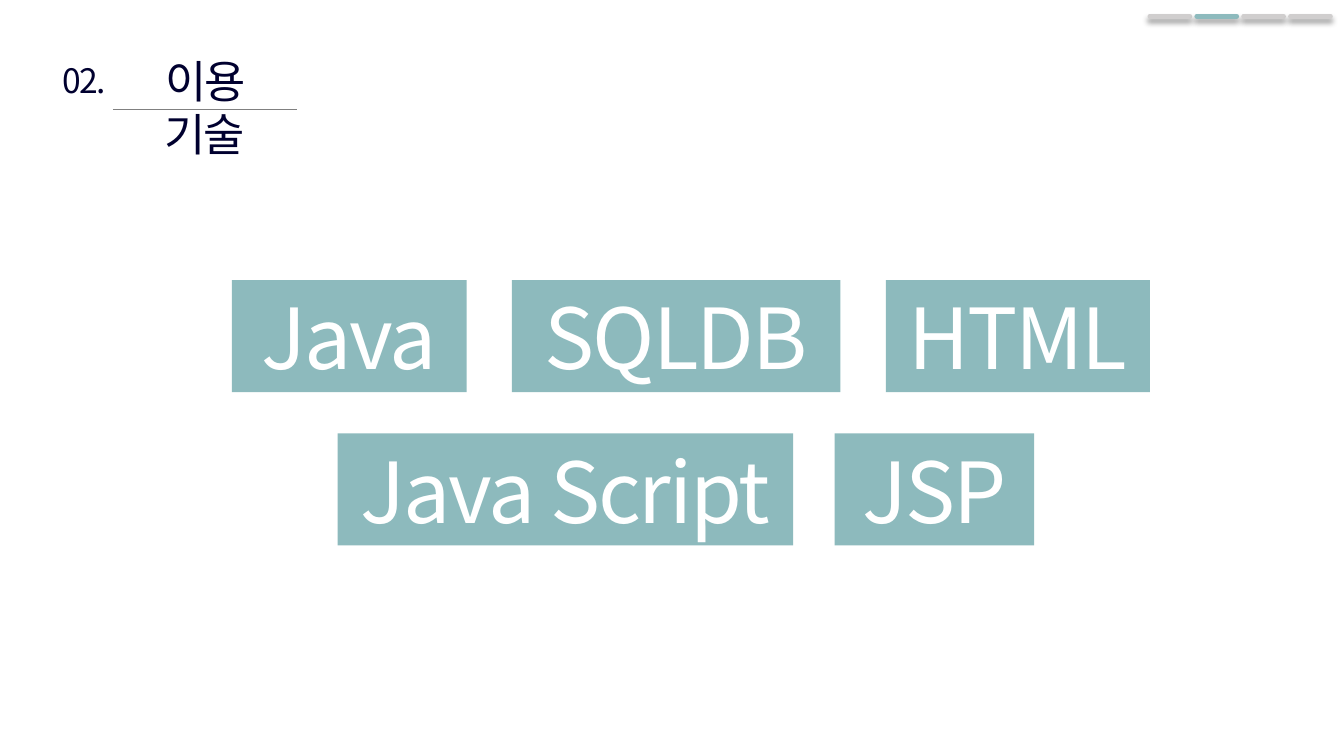
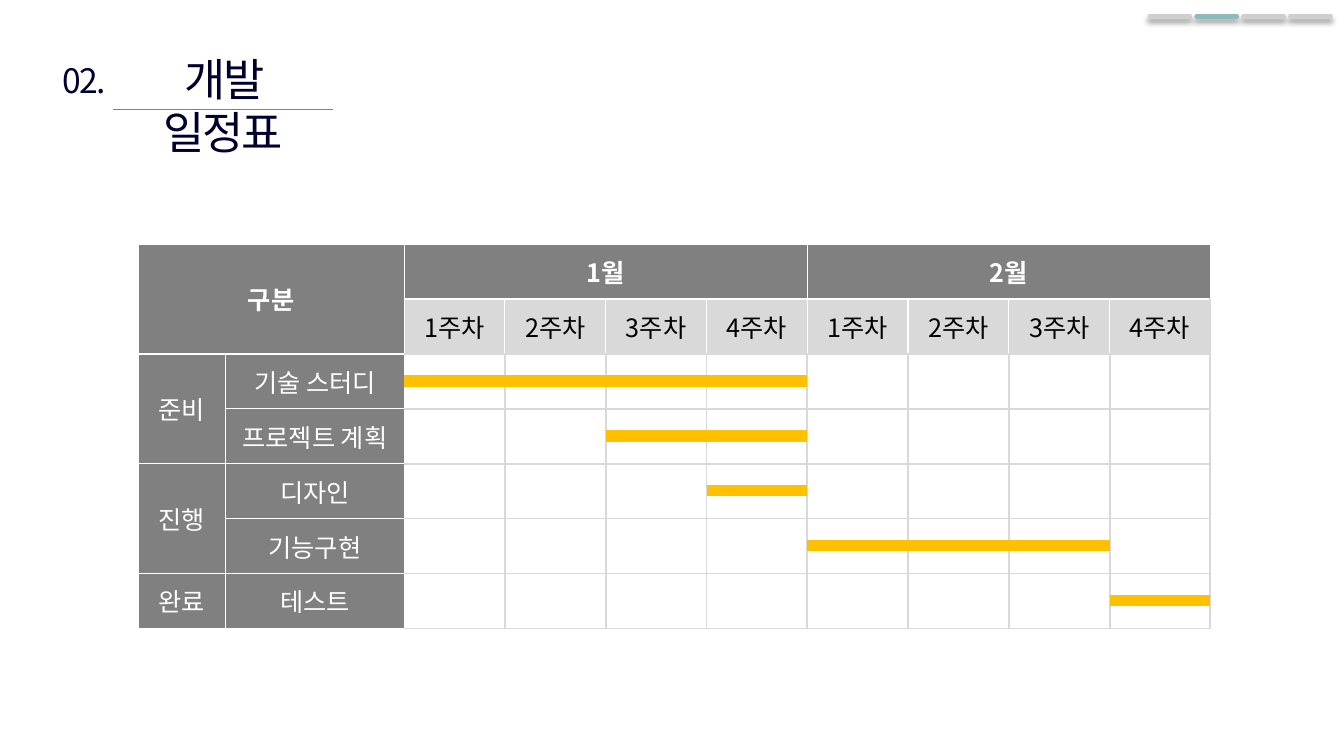
from dataclasses import dataclass

from lxml.etree import SubElement
from pptx import Presentation
from pptx.dml.color import RGBColor
from pptx.enum.shapes import MSO_CONNECTOR as Connector, MSO_SHAPE as Preset
from pptx.enum.text import MSO_ANCHOR as Anchor, MSO_AUTO_SIZE as AutoSize, PP_ALIGN as Align
from pptx.oxml.ns import qn
from pptx.presentation import Presentation as Deck
from pptx.slide import Slide
from pptx.table import _Cell as Cell
from pptx.text.text import TextFrame
from pptx.util import Pt

EMU_PER_PX = 4572
FONT = "Noto Sans CJK KR"
TEAL = "8DBABD"
NAVY = "00002F"
WHITE = "FFFFFF"
BLACK = "000000"
GRAY = "808080"
SILVER = "D9D9D9"
IDLE = "D0CECE"
AMBER = "FFC000"

SECTIONS = 4
CURRENT_SECTION = 1
WEEKS_PER_MONTH = 4
MONTHS = ("1월", "2월")
WEEKS = WEEKS_PER_MONTH * len(MONTHS)
LABEL_COLUMNS = 2
HEADER_ROWS = 2
LABEL_WIDTHS = (174, 354)
WEEK_WIDTH = 200
ROW_HEIGHT = 109
SCHEDULE_LEFT = 274
SCHEDULE_TOP = 484


@dataclass(frozen=True)
class Heading:
    text: str
    left: int
    top: int
    width: int
    rule_end: int


@dataclass(frozen=True)
class Skill:
    name: str
    width: int


@dataclass(frozen=True)
class SkillRow:
    left: int
    top: int
    gap: int
    skills: tuple[Skill, ...]


@dataclass(frozen=True)
class Task:
    name: str
    first_week: int
    weeks: int


@dataclass(frozen=True)
class Phase:
    name: str
    tasks: tuple[Task, ...]


SKILL_ROWS = (
    SkillRow(460, 556, 90, (Skill("Java", 466), Skill("SQLDB", 652), Skill("HTML", 524))),
    SkillRow(670, 860, 82, (Skill("Java Script", 904), Skill("JSP", 396))),
)
PHASES = (
    Phase("준비", (Task("기술 스터디", 0, 4), Task("프로젝트 계획", 2, 2))),
    Phase("진행", (Task("디자인", 3, 1), Task("기능구현", 4, 3))),
    Phase("완료", (Task("테스트", 7, 1),)),
)


def px(length: int) -> int:
    return length * EMU_PER_PX


def rgb(color: str) -> RGBColor:
    return RGBColor.from_string(color)


def write(frame: TextFrame, text: str, *, size: int, color: str, bold: bool = False,
          tracking: float = 0) -> None:
    paragraph = frame.paragraphs[0]
    paragraph.alignment = Align.CENTER
    run = paragraph.add_run()
    run.text = text
    run.font.size = Pt(size)
    run.font.bold = bold
    run.font.name = FONT
    run.font.color.rgb = rgb(color)
    properties = run.font._element
    SubElement(properties, qn("a:ea"), typeface=FONT)
    if tracking:
        properties.set("spc", str(round(tracking * 100)))


def set_frame(frame: TextFrame, anchor: Anchor, wrap: bool) -> TextFrame:
    frame.auto_size = AutoSize.NONE
    frame.vertical_anchor = anchor
    frame.word_wrap = wrap
    return frame


def draw_line(slide: Slide, left: int, right: int, y: int, color: str,
              weight: float, raised: bool = False) -> None:
    line = slide.shapes.add_connector(Connector.STRAIGHT, px(left), px(y), px(right), px(y))
    line.line.color.rgb = rgb(color)
    line.line.width = Pt(weight)
    properties = line._element.spPr
    effects = SubElement(properties, qn("a:effectLst"))
    if raised:
        properties.find(qn("a:ln")).set("cap", "rnd")
        outer = SubElement(effects, qn("a:outerShdw"), blurRad=str(Pt(4)), dist=str(Pt(3)),
                           dir="5400000", algn="t", rotWithShape="0")
        tint = SubElement(outer, qn("a:srgbClr"), val=BLACK)
        SubElement(tint, qn("a:alpha"), val="40000")


def add_section_slide(deck: Deck, heading: Heading) -> Slide:
    slide = deck.slides.add_slide(deck.slide_layouts[5])
    for section in range(SECTIONS):
        left = 2282 + 93 * section
        draw_line(slide, left, left + 79, 32, TEAL if section == CURRENT_SECTION else IDLE,
                  3.5, raised=True)
    draw_line(slide, 224, heading.rule_end, 217, GRAY, 0.5)
    title = slide.shapes.title
    title.left, title.top = px(heading.left), px(heading.top)
    title.width, title.height = px(heading.width), px(128)
    write(set_frame(title.text_frame, Anchor.TOP, True), heading.text,
          size=32, color=NAVY, tracking=-1.5)
    number = slide.shapes.add_textbox(px(100), px(110), px(134), px(100))
    write(set_frame(number.text_frame, Anchor.TOP, False), "02.",
          size=24, color=NAVY, tracking=-1.5)
    return slide


def draw_skills(slide: Slide) -> None:
    for row in SKILL_ROWS:
        left = row.left
        for skill in row.skills:
            tile = slide.shapes.add_shape(Preset.RECTANGLE, px(left), px(row.top),
                                          px(skill.width), px(222))
            tile.shadow.inherit = False
            tile.fill.solid()
            tile.fill.fore_color.rgb = rgb(TEAL)
            tile.line.fill.background()
            write(set_frame(tile.text_frame, Anchor.MIDDLE, False), skill.name,
                  size=60, color=WHITE, tracking=-1.5)
            left += skill.width + row.gap


def paint_cell(cell: Cell, fill: str, **borders: tuple[str, float]) -> None:
    properties = cell._tc.get_or_add_tcPr()
    for side in "LRTB":
        color, weight = borders[side]
        edge = SubElement(properties, qn(f"a:ln{side}"), w=str(Pt(weight)))
        solid = SubElement(edge, qn("a:solidFill"))
        SubElement(solid, qn("a:srgbClr"), val=color)
    cell.fill.solid()
    cell.fill.fore_color.rgb = rgb(fill)


def paint_grid_cell(cell: Cell, row: int, column: int) -> None:
    pale, white, thin = (SILVER, 1.5), (WHITE, 1.5), (WHITE, 1)
    last = column == LABEL_COLUMNS + WEEKS - 1
    if column < LABEL_COLUMNS or row == 0:
        paint_cell(cell, GRAY, L=thin, R=pale if last else thin, T=thin,
                   B=white if row < HEADER_ROWS else thin)
    elif row < HEADER_ROWS:
        paint_cell(cell, SILVER, L=thin, R=pale if last else thin, T=white, B=pale)
    else:
        paint_cell(cell, WHITE, L=thin if column == LABEL_COLUMNS else pale,
                   R=pale, T=pale, B=pale)


def label(cell: Cell, text: str, color: str = WHITE, bold: bool = False) -> None:
    cell.vertical_anchor = Anchor.MIDDLE
    write(cell.text_frame, text, size=18, color=color, bold=bold)


def draw_schedule(slide: Slide) -> None:
    tasks = [task for phase in PHASES for task in phase.tasks]
    widths = LABEL_WIDTHS + (WEEK_WIDTH,) * WEEKS
    row_count = HEADER_ROWS + len(tasks)
    schedule = slide.shapes.add_table(row_count, len(widths), px(SCHEDULE_LEFT),
                                      px(SCHEDULE_TOP), px(sum(widths)),
                                      px(row_count * ROW_HEIGHT)).table
    schedule.first_row = schedule.horz_banding = False
    for column, width in enumerate(widths):
        schedule.columns[column].width = px(width)
    for row in range(row_count):
        schedule.rows[row].height = px(ROW_HEIGHT)
        for column in range(len(widths)):
            paint_grid_cell(schedule.cell(row, column), row, column)

    category = schedule.cell(0, 0)
    category.merge(schedule.cell(HEADER_ROWS - 1, LABEL_COLUMNS - 1))
    label(category, "구분", bold=True)
    for index, name in enumerate(MONTHS):
        first = LABEL_COLUMNS + index * WEEKS_PER_MONTH
        month = schedule.cell(0, first)
        month.merge(schedule.cell(0, first + WEEKS_PER_MONTH - 1))
        label(month, name, bold=True)
        for week in range(WEEKS_PER_MONTH):
            label(schedule.cell(1, first + week), f"{week + 1}주차", BLACK)

    row = HEADER_ROWS
    for phase in PHASES:
        stage = schedule.cell(row, 0)
        if len(phase.tasks) > 1:
            stage.merge(schedule.cell(row + len(phase.tasks) - 1, 0))
        label(stage, phase.name)
        for task in phase.tasks:
            label(schedule.cell(row, 1), task.name)
            row += 1

    weeks_left = SCHEDULE_LEFT + sum(LABEL_WIDTHS)
    for index, task in enumerate(tasks, HEADER_ROWS):
        start = weeks_left + task.first_week * WEEK_WIDTH
        middle = SCHEDULE_TOP + index * ROW_HEIGHT + ROW_HEIGHT // 2
        draw_line(slide, start, start + task.weeks * WEEK_WIDTH, middle, AMBER, 8)


def main() -> None:
    deck = Presentation()
    deck.slide_width, deck.slide_height = px(2667), px(1500)
    draw_skills(add_section_slide(deck, Heading("이용 기술", 222, 96, 368, 590)))
    draw_schedule(add_section_slide(deck, Heading("개발 일정표", 220, 92, 446, 660)))
    deck.save("out.pptx")


if __name__ == "__main__":
    main()
